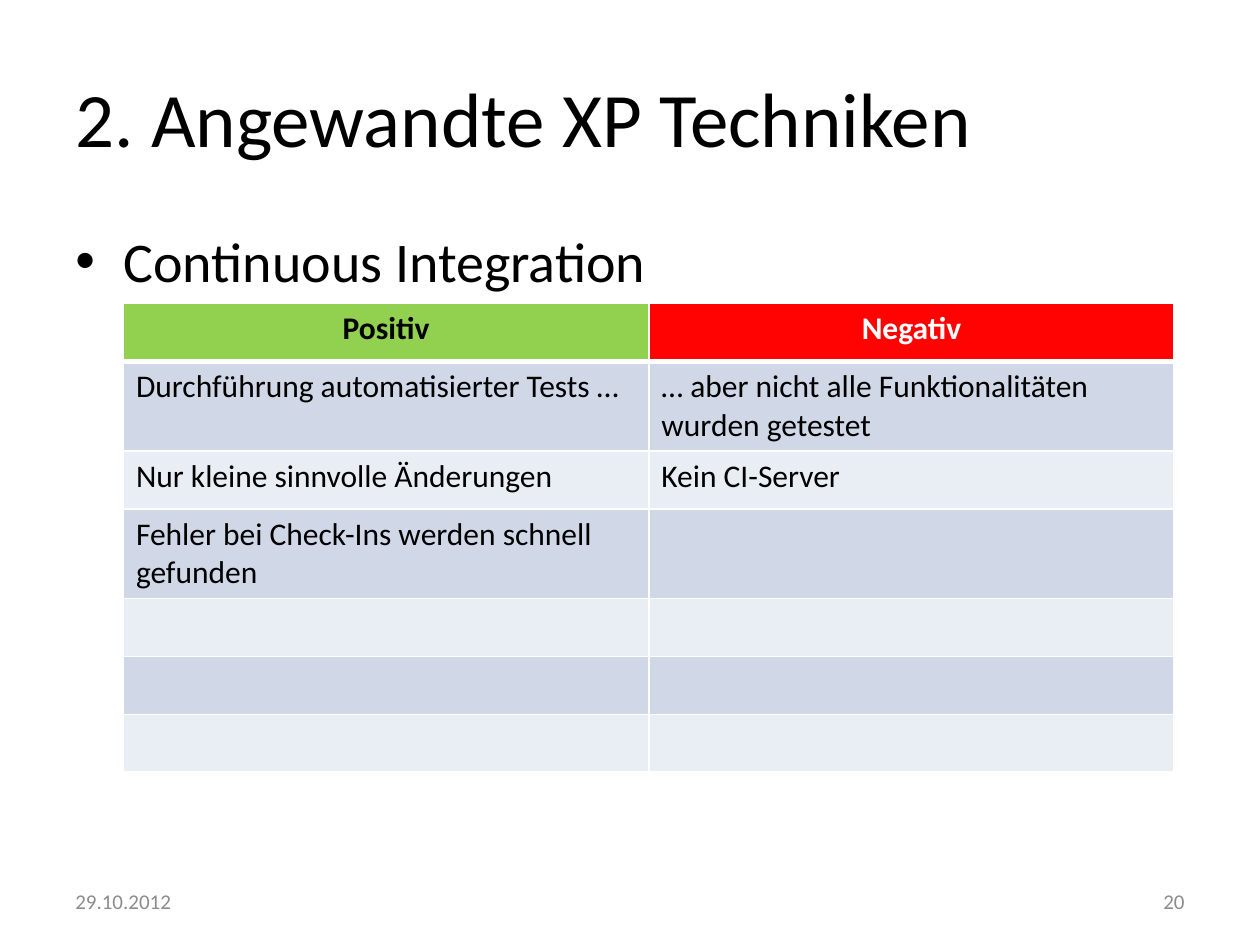
from dataclasses import dataclass

from lxml import etree
from pptx import Presentation
from pptx.dml.color import RGBColor
from pptx.enum.text import MSO_ANCHOR, PP_ALIGN
from pptx.oxml.ns import qn
from pptx.util import Inches, Pt

LEFT, CENTER, RIGHT = PP_ALIGN.LEFT, PP_ALIGN.CENTER, PP_ALIGN.RIGHT
TOP, MIDDLE = MSO_ANCHOR.TOP, MSO_ANCHOR.MIDDLE


@dataclass(frozen=True)
class Theme:
    font: str = "Calibri"
    title_size: int = 44
    body_size: int = 32
    table_size: int = 18
    footer_size: int = 12
    black: str = "000000"
    white: str = "FFFFFF"
    gray: str = "8C8C8C"
    header_fills: tuple = ("92D050", "FF0303")
    header_colors: tuple = ("000000", "FFFFFF")
    band_fills: tuple = ("E9EDF4", "D0D8E8")


theme = Theme()

presentation = Presentation()
presentation.slide_width = Inches(10)
presentation.slide_height = Inches(7.5)
slide = presentation.slides.add_slide(presentation.slide_layouts[6])

MARGIN = 0.5
CONTENT_WIDTH = 10 - 2 * MARGIN
FOOTER_TOP, FOOTER_WIDTH, FOOTER_HEIGHT = 6.95, 2.33, 0.4


def write(text_frame, text, size, color, align=LEFT, bold=False):
    text_frame.text = text
    paragraph = text_frame.paragraphs[0]
    paragraph.alignment = align
    font = paragraph.font if not paragraph.runs else paragraph.runs[0].font
    font.name = theme.font
    font.size = Pt(size)
    font.bold = bold
    font.color.rgb = RGBColor.from_string(color)
    return paragraph


def add_text(box, text, size, color, align=LEFT, anchor=MIDDLE):
    shape = slide.shapes.add_textbox(*map(Inches, box))
    shape.text_frame.word_wrap = True
    shape.text_frame.vertical_anchor = anchor
    return write(shape.text_frame, text, size, color, align)


# Title and bullet
add_text((MARGIN, 0.3, CONTENT_WIDTH, 1.25), "2. Angewandte XP Techniken",
         theme.title_size, theme.black)
bullet = add_text((MARGIN, 1.75, CONTENT_WIDTH, 4.95), "Continuous Integration",
                  theme.body_size, theme.black, anchor=TOP)
bullet.space_before = Pt(0.2 * theme.body_size)
properties = bullet._p.get_or_add_pPr()
properties.set("marL", str(Inches(0.38)))
properties.set("indent", str(-Inches(0.38)))
etree.SubElement(properties, qn("a:buFont")).set("typeface", "Arial")
etree.SubElement(properties, qn("a:buChar")).set("char", "•")

# Footer
add_text((MARGIN, FOOTER_TOP, FOOTER_WIDTH, FOOTER_HEIGHT), "29.10.2012",
         theme.footer_size, theme.gray)
add_text((10 - MARGIN - FOOTER_WIDTH, FOOTER_TOP, FOOTER_WIDTH, FOOTER_HEIGHT), "20",
         theme.footer_size, theme.gray, RIGHT)

# Table of positive and negative points
rows = [
    ("Positiv", "Negativ"),
    ("Durchführung automatisierter Tests …",
     "… aber nicht alle Funktionalitäten wurden getestet"),
    ("Nur kleine sinnvolle Änderungen", "Kein CI-Server"),
    ("Fehler bei Check-Ins werden schnell gefunden", ""),
    ("", ""),
    ("", ""),
    ("", ""),
]
COLUMN_WIDTH, ROW_HEIGHT, TWO_LINE_HEIGHT = 4.17, 0.46, 0.71
TWO_LINE_ROWS = (1, 3)
heights = [TWO_LINE_HEIGHT if index in TWO_LINE_ROWS else ROW_HEIGHT
           for index in range(len(rows))]
table = slide.shapes.add_table(len(rows), 2, Inches(0.98), Inches(2.41),
                               Inches(2 * COLUMN_WIDTH), Inches(sum(heights))).table
for column in table.columns:
    column.width = Inches(COLUMN_WIDTH)

for row_index, (texts, height) in enumerate(zip(rows, heights)):
    table.rows[row_index].height = Inches(height)
    is_header = row_index == 0
    for column_index, text in enumerate(texts):
        cell = table.cell(row_index, column_index)
        if is_header:
            fill = theme.header_fills[column_index]
            color = theme.header_colors[column_index]
        else:
            fill, color = theme.band_fills[row_index % 2], theme.black
        write(cell.text_frame, text, theme.table_size, color,
              CENTER if is_header else LEFT, is_header)

        # Borders precede the fill in the cell properties
        for side in "LRTB":
            thick = (side, row_index) in (("B", 0), ("T", 1))
            line = etree.SubElement(cell._tc.get_or_add_tcPr(), qn(f"a:ln{side}"))
            line.set("w", str(Pt(3 if thick else 1)))
            line_fill = etree.SubElement(line, qn("a:solidFill"))
            etree.SubElement(line_fill, qn("a:srgbClr")).set("val", theme.white)
        cell.fill.solid()
        cell.fill.fore_color.rgb = RGBColor.from_string(fill)

presentation.save("out.pptx")
